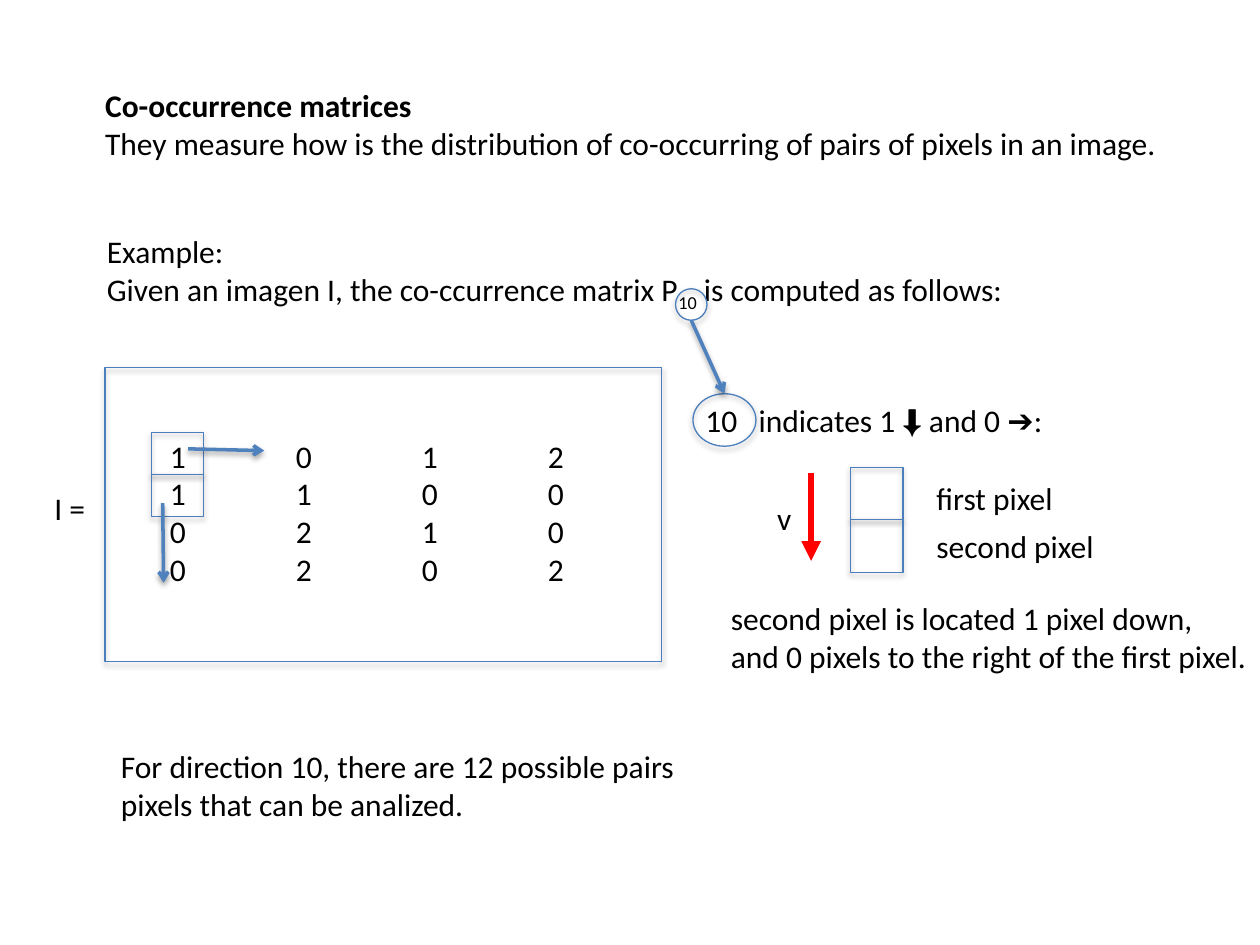
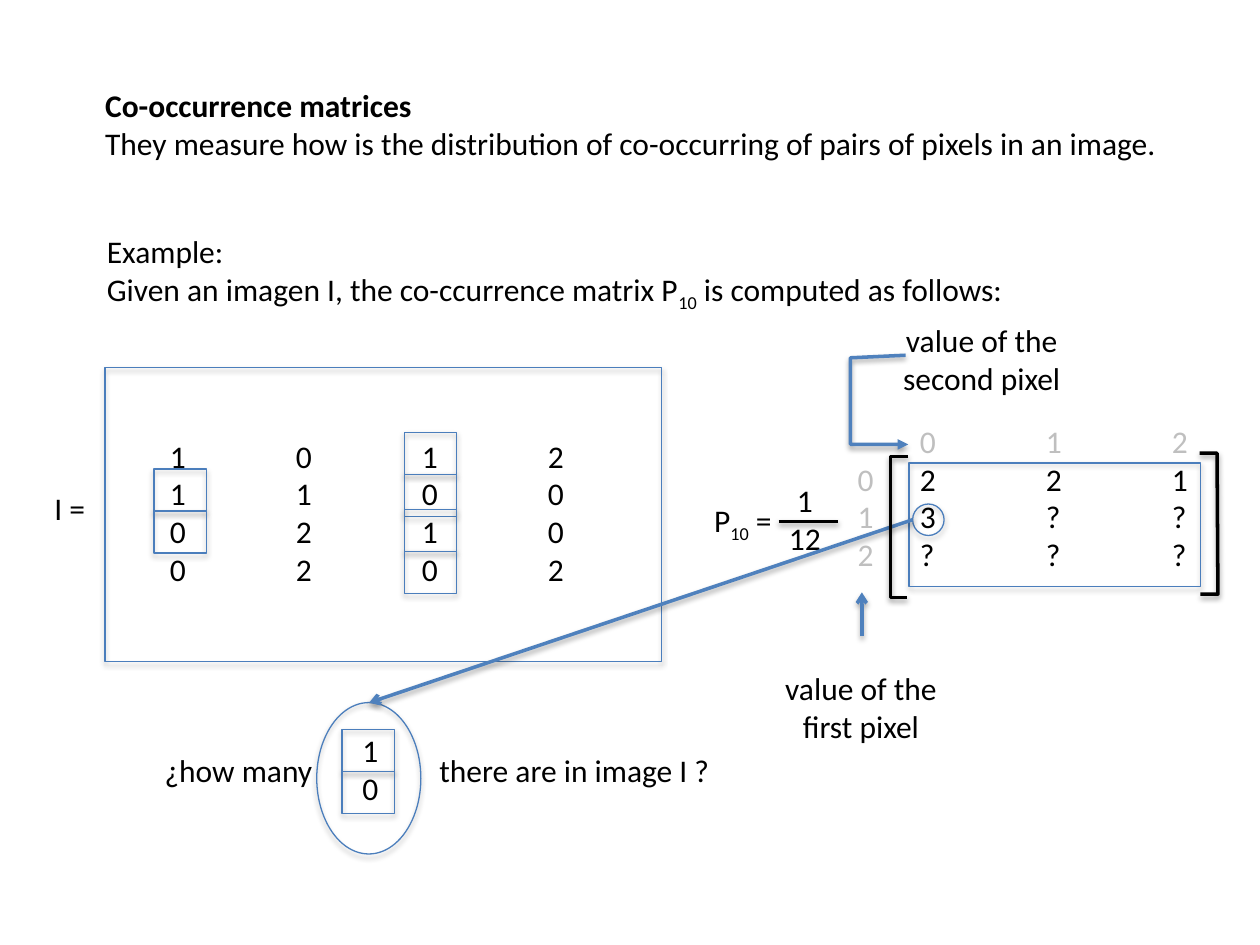
from lxml.etree import SubElement
from pptx import Presentation
from pptx.dml.color import RGBColor
from pptx.enum.shapes import MSO_CONNECTOR, MSO_SHAPE
from pptx.enum.text import PP_ALIGN
from pptx.oxml.ns import qn
from pptx.util import Pt

BLACK = RGBColor(0x00, 0x00, 0x00)
GREY = RGBColor(0xBF, 0xBF, 0xBF)
RED = RGBColor(0xFF, 0x00, 0x00)
OUTLINE = RGBColor(0x4B, 0x7E, 0xBC)
ARROW = RGBColor(0x4F, 0x81, 0xBD)

CELL_WIDTH, CELL_HEIGHT = 30, 24
COLUMN_TABS = [72, 144, 216]


def add_text(slide, left, top, width, height, lines, tabs=(), centred=False, space_after=0):
    """Each line is a list of runs: plain text or a (text, look) pair."""
    box = slide.shapes.add_textbox(Pt(left), Pt(top), Pt(width), Pt(height))
    frame = box.text_frame
    frame.word_wrap = bool(tabs)
    for index, runs in enumerate(lines):
        paragraph = frame.paragraphs[0] if index == 0 else frame.add_paragraph()
        if tabs:
            tab_list = SubElement(paragraph._p.get_or_add_pPr(), qn("a:tabLst"))
            for stop in tabs:
                SubElement(tab_list, qn("a:tab"), pos=str(Pt(stop)), algn="l")
        paragraph.alignment = PP_ALIGN.CENTER if centred else PP_ALIGN.LEFT
        if space_after:
            paragraph.space_after = Pt(space_after)
        for item in runs:
            text, look = (item, "") if isinstance(item, str) else item
            run = paragraph.add_run()
            run.text = text
            run.font.size = Pt(18)
            run.font.name = "Arial" if look == "symbol" else "Calibri"
            run.font.color.rgb = GREY if look == "grey" else BLACK
            if look == "bold":
                run.font.bold = True
            if look == "subscript":
                run._r.get_or_add_rPr().set("baseline", "-25000")


def style_line(shape, color=OUTLINE, width=0.75, head=None, shadow=True):
    """Set outline, arrowhead and soft shadow of a shape or connector."""
    shape.line.color.rgb = color
    shape.line.width = Pt(width)
    properties = shape._element.spPr
    if head:
        SubElement(properties.find(qn("a:ln")), qn("a:tailEnd"), type=head)
    effects = SubElement(properties, qn("a:effectLst"))
    if shadow:
        outer = SubElement(effects, qn("a:outerShdw"), blurRad=str(Pt(3.1)), dist=str(Pt(1.8)),
                           dir="5400000", rotWithShape="0")
        tone = SubElement(outer, qn("a:srgbClr"), val="000000")
        SubElement(tone, qn("a:alpha"), val="35000")


presentation = Presentation()
presentation.slide_width = Pt(720)
presentation.slide_height = Pt(540)
blank = presentation.slide_layouts[6]
direction_slide = presentation.slides.add_slide(blank)
matrix_slide = presentation.slides.add_slide(blank)

# Shared: heading, example and image matrix I
image_rows = ["1\t0\t1\t2", "1\t1\t0\t0", "0\t2\t1\t0", "0\t2\t0\t2"]
for slide in (direction_slide, matrix_slide):
    add_text(slide, 53, 45.5, 618, 51, [
        [("Co-occurrence matrices", "bold")],
        ["They measure how is the distribution of co-occurring of pairs of pixels in an image."]])
    add_text(slide, 54, 129, 534, 51, [
        ["Example:"],
        ["Given an imagen I, the co-ccurrence matrix P", ("10", "subscript"),
         " is computed as follows:"]])
    add_text(slide, 24, 276, 32, 29, [["I ="]])
    add_text(slide, 90, 246, 270, 117, [[row] for row in image_rows], tabs=COLUMN_TABS)

# Slide 1: text on direction 10
add_text(direction_slide, 396, 225.5, 219, 29, [
    ["10\tindicates 1 ", ("⬇", "symbol"), " and 0 ", ("➔", "symbol"), ":"]], tabs=[30.5])
add_text(direction_slide, 528, 270, 106, 57, [["first pixel"], ["second pixel"]], space_after=6)
add_text(direction_slide, 410.5, 339, 314, 51, [
    ["second pixel is located 1 pixel down,"],
    ["and 0 pixels to the right of the first pixel."]])
add_text(direction_slide, 62, 423.5, 335.5, 51, [
    ["For direction 10, there are 12 possible pairs"],
    ["pixels that can be analized."]])
add_text(direction_slide, 437, 281.5, 23, 29, [["v"]])

# Slide 2: co-occurrence matrix with grey row and column values
add_text(matrix_slide, 446.5, 237.5, 270, 117, [
    [("\t\t0\t1\t2", "grey")],
    [("\t0", "grey"), "\t2\t2\t1"],
    [("\t1", "grey"), "\t3\t?\t?"],
    [("\t2", "grey"), "\t?\t?\t?"]], tabs=[36.5] + COLUMN_TABS)
add_text(matrix_slide, 508, 180, 106, 51, [["value of the"], ["second pixel"]], centred=True)
add_text(matrix_slide, 440.5, 379, 103, 51, [["value of the"], ["first pixel"]], centred=True)
add_text(matrix_slide, 401, 283, 50, 29, [["P", ("10", "subscript"), " ="]])
add_text(matrix_slide, 443.5, 271.5, 33, 51, [["1"], ["12"]], centred=True)
add_text(matrix_slide, 87, 425.5, 331, 29, [["¿how many\tthere are in image I ?"]], tabs=[157])
add_text(matrix_slide, 200, 414, 24, 51, [["1"], ["0"]])

# Outlines: frames, cells and circles
RECTANGLE, OVAL = MSO_SHAPE.RECTANGLE, MSO_SHAPE.OVAL
outlines = [
    (direction_slide, RECTANGLE, 60, 210, 318, 168),
    (matrix_slide, RECTANGLE, 60, 210, 318, 168),
    (direction_slide, OVAL, 386, 165, 18, 18),
    (direction_slide, OVAL, 396, 225, 36, 30),
    (matrix_slide, RECTANGLE, 519.5, 264.5, 166.5, 70.5),
    (matrix_slide, OVAL, 521.5, 288, 18, 18),
    (matrix_slide, OVAL, 181, 401.5, 59.5, 86.5),
]
pixel_pairs = [
    (direction_slide, 86.5, 247, CELL_HEIGHT),
    (direction_slide, 486, 267, 30),
    (matrix_slide, 195.5, 417, CELL_HEIGHT),
    (matrix_slide, 88, 268, CELL_HEIGHT),
    (matrix_slide, 231, 247, CELL_HEIGHT),
    (matrix_slide, 231, 291, CELL_HEIGHT),
]
for slide, left, top, height in pixel_pairs:
    for cell in range(2):
        outlines.append((slide, RECTANGLE, left, top + cell * height, CELL_WIDTH, height))
for slide, kind, left, top, width, height in outlines:
    shape = slide.shapes.add_shape(kind, Pt(left), Pt(top), Pt(width), Pt(height))
    shape.fill.background()
    style_line(shape)

# Straight arrows and the fraction bar
straight_lines = [
    (direction_slide, 395, 183, 414, 225, ARROW, 2, "arrow", True),
    (direction_slide, 107.5, 256.5, 151, 257.5, ARROW, 2, "arrow", True),
    (direction_slide, 93, 287.5, 93.5, 333, ARROW, 2, "arrow", True),
    (direction_slide, 463.5, 270, 463.5, 320.5, RED, 3.75, "triangle", False),
    (matrix_slide, 492.5, 363.5, 492.5, 338.5, ARROW, 2, "arrow", True),
    (matrix_slide, 521.5, 297, 211, 401.5, ARROW, 2, "arrow", True),
    (matrix_slide, 445, 298, 479, 298, BLACK, 2, None, True),
]
for slide, x1, y1, x2, y2, color, width, head, shadow in straight_lines:
    connector = slide.shapes.add_connector(MSO_CONNECTOR.STRAIGHT, Pt(x1), Pt(y1), Pt(x2), Pt(y2))
    style_line(connector, color, width, head, shadow)

# Bent arrow and matrix brackets
bent_lines = [
    ([(517.5, 203), (486, 204.5), (486, 254), (519, 254)], ARROW, "triangle"),
    ([(519, 261), (509, 261), (509, 341.5), (518.5, 341.5)], BLACK, None),
    ([(685.5, 259), (695.5, 259), (696, 339.5), (686, 339.5)], BLACK, None),
]
for points, color, head in bent_lines:
    start, *others = [(Pt(x), Pt(y)) for x, y in points]
    builder = matrix_slide.shapes.build_freeform(*start)
    builder.add_line_segments(others, close=False)
    bent_line = builder.convert_to_shape()
    bent_line.fill.background()
    style_line(bent_line, color, 2, head)

presentation.save("out.pptx")
